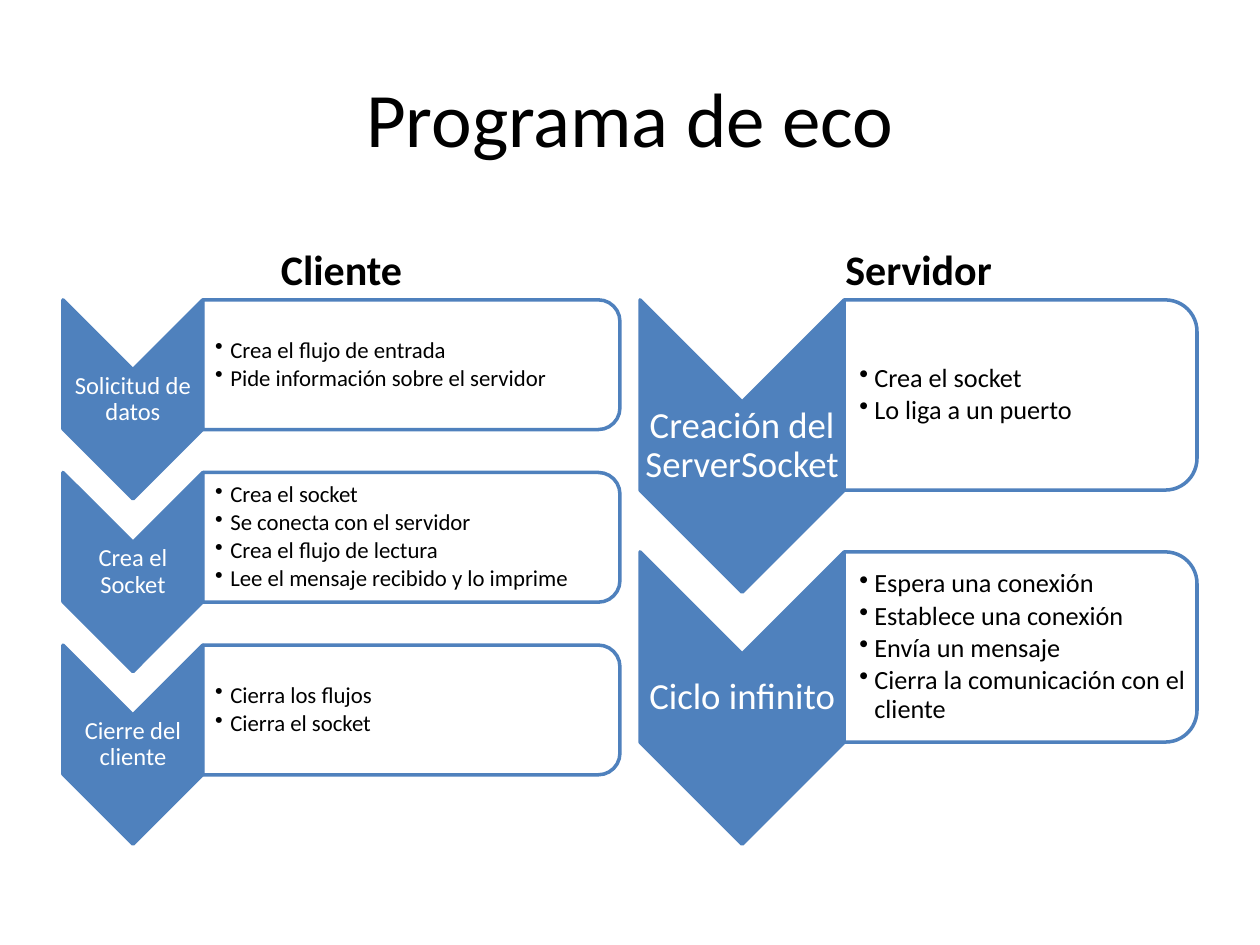
from lxml.etree import SubElement
from pptx import Presentation
from pptx.dml.color import RGBColor
from pptx.enum.shapes import MSO_SHAPE
from pptx.enum.text import MSO_ANCHOR, PP_ALIGN
from pptx.oxml.ns import qn
from pptx.util import Inches, Pt

BLUE = RGBColor(0x4F, 0x81, 0xBD)
WHITE = RGBColor(0xFF, 0xFF, 0xFF)
BLACK = RGBColor(0x00, 0x00, 0x00)

CLIENT = [
    ("Solicitud de datos",
     ["Crea el flujo de entrada", "Pide información sobre el servidor"]),
    ("Crea el Socket",
     ["Crea el socket", "Se conecta con el servidor",
      "Crea el flujo de lectura", "Lee el mensaje recibido y lo imprime"]),
    ("Cierre del cliente",
     ["Cierra los flujos", "Cierra el socket"]),
]
SERVER = [
    ("Creación del ServerSocket",
     ["Crea el socket", "Lo liga a un puerto"]),
    ("Ciclo infinito",
     ["Espera una conexión", "Establece una conexión", "Envía un mensaje",
      "Cierra la comunicación con el cliente"]),
]


def add_text(slide, box, lines, size, color=BLACK, bold=False,
             anchor=MSO_ANCHOR.MIDDLE, align=PP_ALIGN.CENTER):
    """Place lines of text in a box and return its frame."""
    frame = slide.shapes.add_textbox(*map(Inches, box)).text_frame
    frame.word_wrap = True
    frame.vertical_anchor = anchor
    frame.text = "\n".join(lines)
    for para in frame.paragraphs:
        para.alignment = align
        for run in para.runs:
            font = run.font
            font.name, font.size, font.bold = "Calibri", Pt(size), bold
            font.color.rgb = color
    return frame


def set_inset(frame, left):
    """Give a frame a left inset and thin insets elsewhere."""
    frame.margin_left = Inches(left)
    frame.margin_top = frame.margin_right = frame.margin_bottom = Inches(0.01)


def add_turned(slide, kind, box, fill):
    """Draw a shape turned a quarter so that it fills the box."""
    left, top, width, height = box
    shift = (width - height) / 2
    shape = slide.shapes.add_shape(
        kind, *map(Inches, (left + shift, top - shift, height, width)))
    shape.rotation = 90
    shape.shadow.inherit = False
    shape.fill.solid()
    shape.fill.fore_color.rgb = fill
    shape.line.color.rgb = BLUE
    shape.line.width = Pt(2)
    return shape


def add_arrow(slide, box, label, size):
    """Draw a downward chevron with its label."""
    left, top, width, height = box
    add_turned(slide, MSO_SHAPE.CHEVRON, box, BLUE)
    area = (left, top + width / 2, width, height - width)
    frame = add_text(slide, area, [label], size, WHITE)
    frame.paragraphs[0].line_spacing = 0.9
    set_inset(frame, 0.01)


def add_card(slide, box, items, size, inset):
    """Draw a card rounded on its right side with a bullet list."""
    left, top, width, height = box
    card = add_turned(slide, MSO_SHAPE.ROUND_2_SAME_RECTANGLE, box, WHITE)
    tint = card.fill._xPr.find(qn("a:solidFill"))[0]
    SubElement(tint, qn("a:alpha"), val="90000")
    gap = 0.05 * height
    area = (left, top + gap, width - gap, height - 2 * gap)
    frame = add_text(slide, area, items, size, align=PP_ALIGN.LEFT)
    set_inset(frame, inset)
    for para in frame.paragraphs:
        props = para._p.get_or_add_pPr()
        props.set("marL", str(Inches(0.12)))
        props.set("indent", str(-Inches(0.12)))
        SubElement(props, qn("a:buChar"), char="•")
        para.line_spacing = 0.9
        para.space_after = Pt(0.15 * size)


def add_flow(slide, box, steps, pitch, arrow, card, sizes, inset):
    """Stack steps of a chevron and a card down a box."""
    left, top, width, height = box
    tall = height - pitch * (len(steps) - 1)
    for row, (label, items) in enumerate(steps):
        y = top + row * pitch
        add_arrow(slide, (left, y, arrow, tall), label, sizes[0])
        area = (left + arrow, y, width - arrow, card)
        add_card(slide, area, items, sizes[1], inset)


def add_head(slide, box, label):
    """Place a bold column heading at the foot of a box."""
    add_text(slide, box, [label], 24, bold=True, anchor=MSO_ANCHOR.BOTTOM)


def main():
    """Build the slide and save it."""
    deck = Presentation()
    deck.slide_width, deck.slide_height = Inches(10), Inches(7.5)
    slide = deck.slides.add_slide(deck.slide_layouts[6])
    add_text(slide, (0.5, 0.3, 9, 1.25), ["Programa de eco"], 44)
    add_head(slide, (0.5, 1.68, 4.42, 0.7), "Cliente")
    add_flow(slide, (0.5, 2.38, 4.42, 4.32), CLIENT,
             pitch=1.37, arrow=1.11, card=1.03, sizes=(14, 13), inset=0.1)
    add_head(slide, (5.08, 1.68, 4.42, 0.7), "Servidor")
    add_flow(slide, (5.08, 2.38, 4.42, 4.32), SERVER,
             pitch=2, arrow=1.62, card=1.51, sizes=(21, 15), inset=0.12)
    deck.save("out.pptx")


if __name__ == "__main__":
    main()
